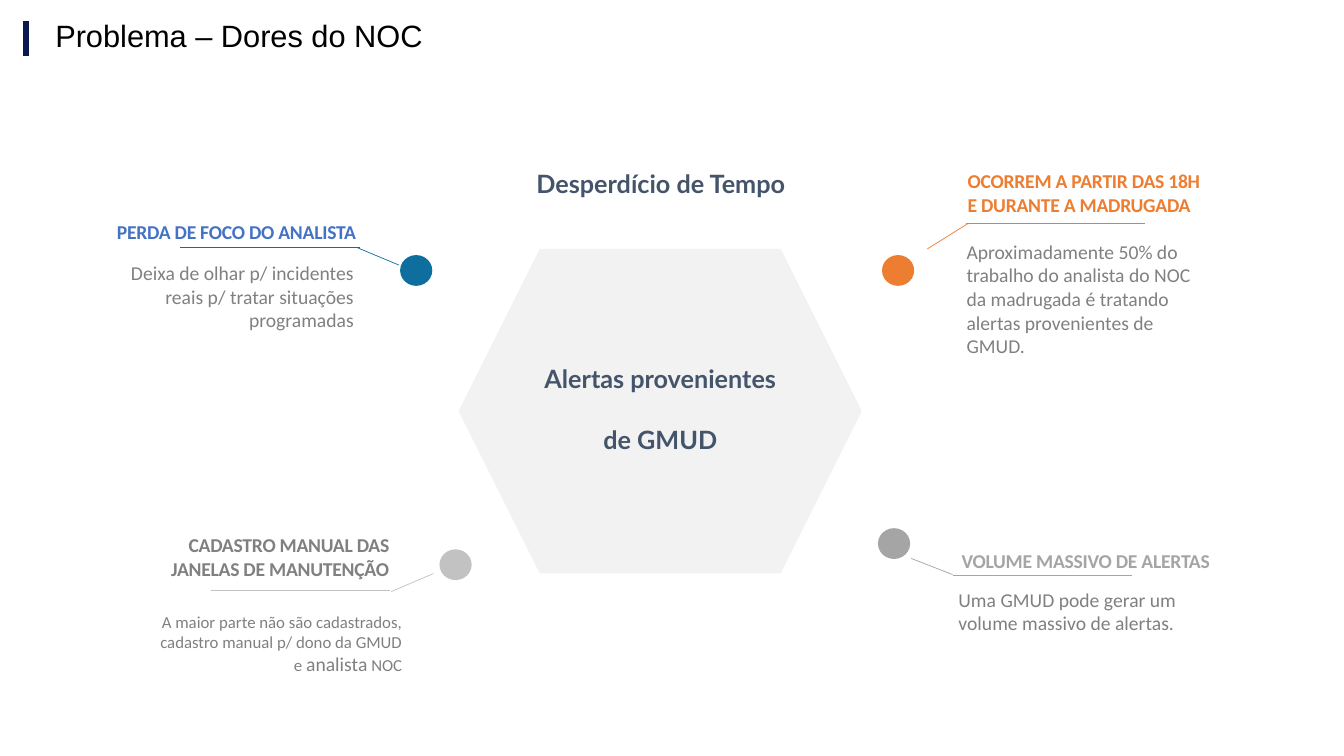
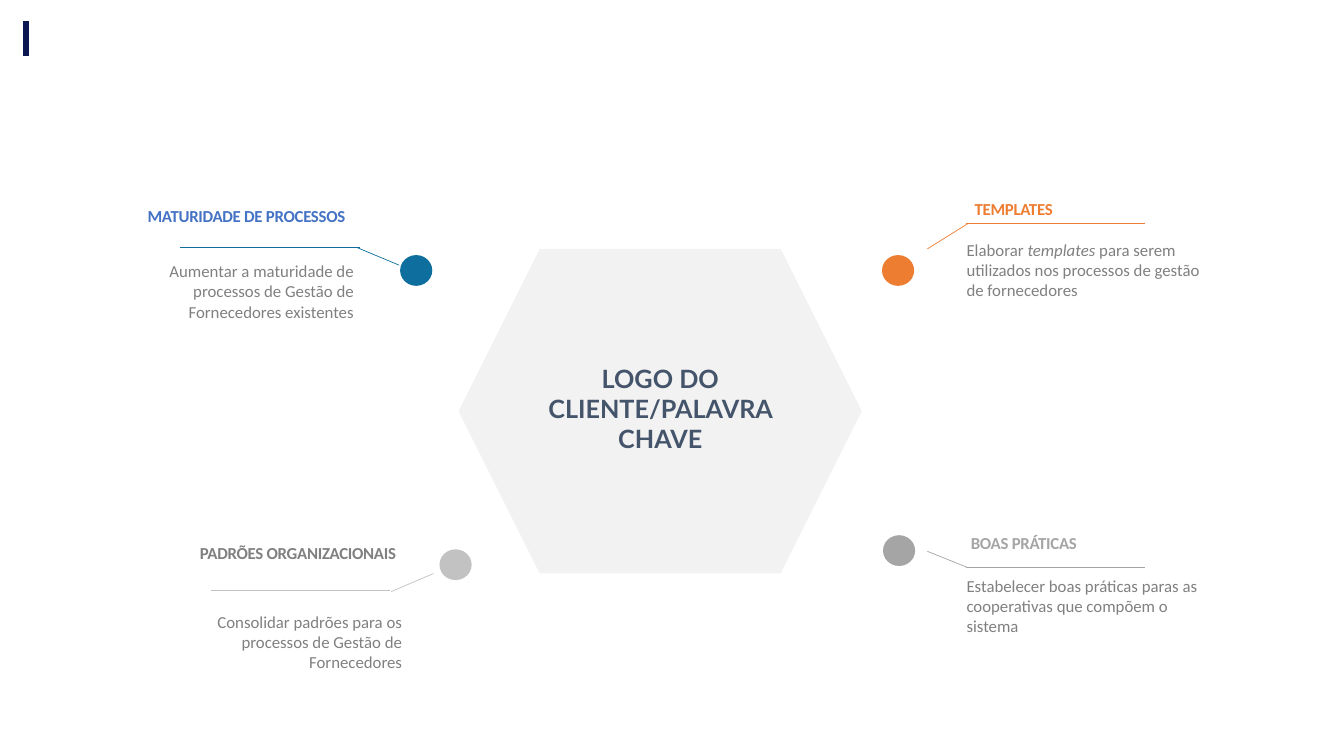
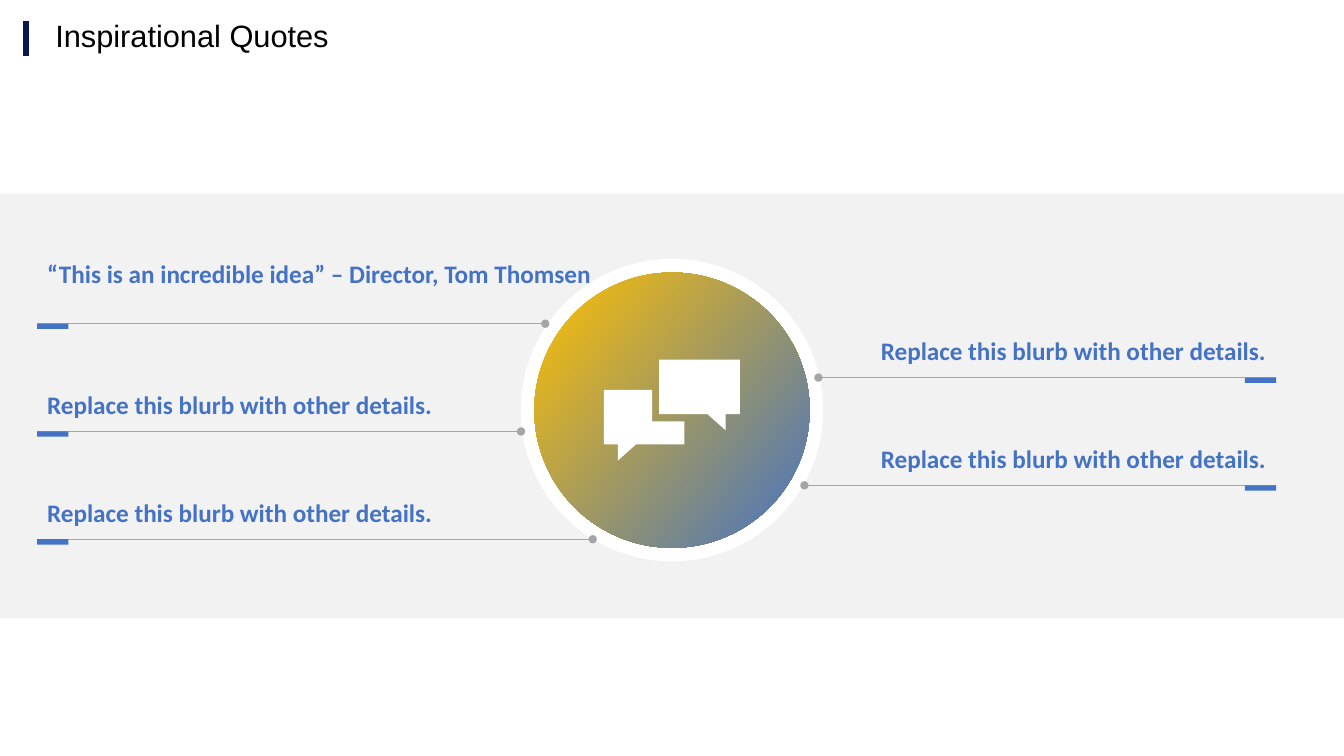
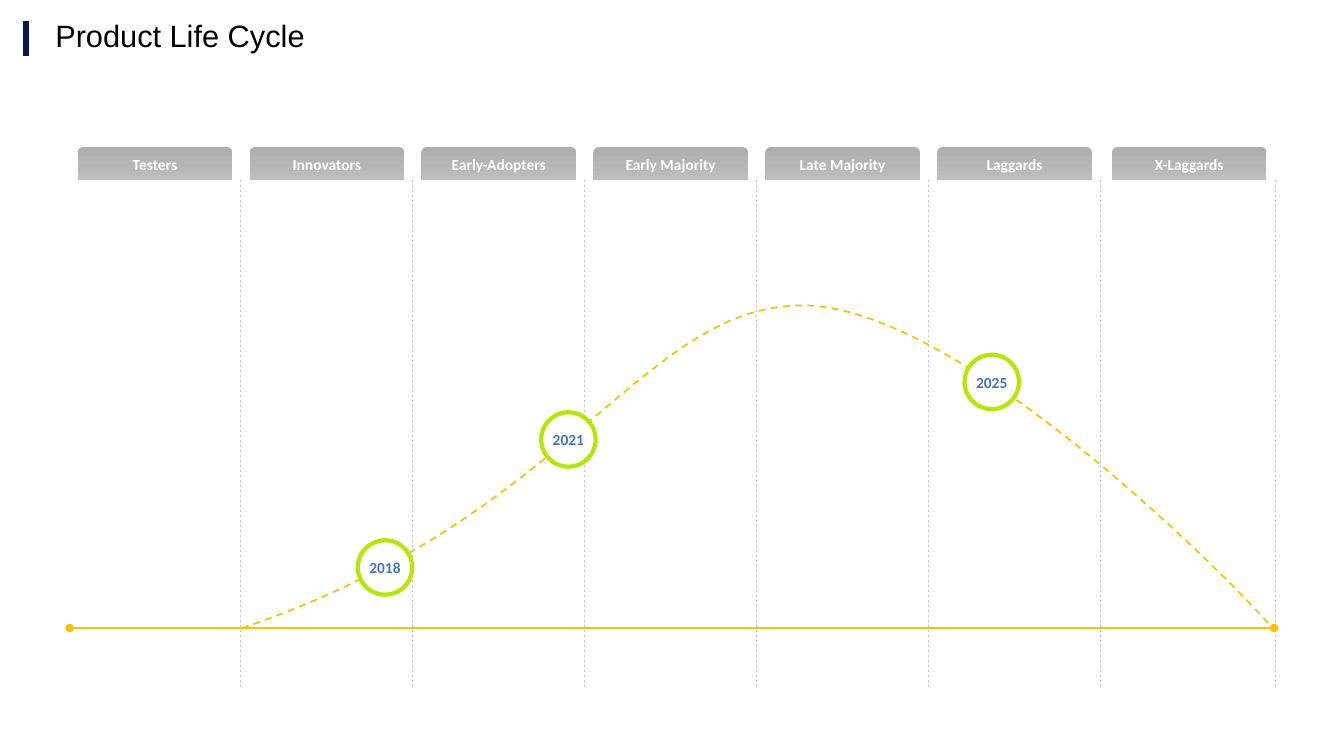
from dataclasses import dataclass, replace
from typing import Optional

from lxml.etree import SubElement
from pptx import Presentation
from pptx.dml.color import RGBColor
from pptx.enum.dml import MSO_LINE
from pptx.enum.shapes import MSO_CONNECTOR, MSO_SHAPE
from pptx.enum.text import MSO_ANCHOR, PP_ALIGN
from pptx.oxml.ns import qn
from pptx.shapes.autoshape import Shape
from pptx.slide import Slide
from pptx.text.text import TextFrame
from pptx.util import Pt

NAVY = RGBColor(0x0A, 0x17, 0x50)
BLACK = RGBColor(0x00, 0x00, 0x00)
WHITE = RGBColor(0xFF, 0xFF, 0xFF)
PALE = RGBColor(0xF2, 0xF2, 0xF2)
TEAL = RGBColor(0x0E, 0x6F, 0x9E)
BLUE = RGBColor(0x44, 0x72, 0xC4)
ORANGE = RGBColor(0xED, 0x7D, 0x31)
SILVER = RGBColor(0xC2, 0xC2, 0xC2)
GRAY = RGBColor(0xA5, 0xA5, 0xA5)
TEXT_GRAY = RGBColor(0x80, 0x80, 0x80)
SLATE = RGBColor(0x44, 0x54, 0x6A)
GOLD = RGBColor(0xFF, 0xC0, 0x00)
LIME = RGBColor(0xB3, 0xE9, 0x00)
DIVIDER_GRAY = RGBColor(0xBF, 0xBF, 0xBF)
TAB_TOP = RGBColor(0xAE, 0xAE, 0xAE)
TAB_BOTTOM = RGBColor(0xBC, 0xBC, 0xBC)

Point = tuple[float, float]
Box = tuple[float, float, float, float]


@dataclass(frozen=True)
class Style:
    size: float
    color: RGBColor
    bold: bool = False
    font: str = "Calibri"
    align: PP_ALIGN = PP_ALIGN.LEFT
    tracking: float = 0
    line_spacing: Optional[float] = None
    space_before: float = 0


@dataclass(frozen=True)
class Span:
    text: str
    size: Optional[float] = None
    italic: Optional[bool] = None


@dataclass(frozen=True)
class Anchor:
    """Dot, rule and leader of a callout beside the hexagon."""
    dot: Point
    rule_start: Point
    leader: tuple[Point, Point]
    body_at: Point
    color: RGBColor
    heading_color: RGBColor
    align: PP_ALIGN


@dataclass(frozen=True)
class Callout:
    anchor: Anchor
    heading: str
    heading_box: Box
    body: tuple[Span, ...]
    heading_size: float = 12
    body_size: float = 12


@dataclass(frozen=True)
class Quote:
    text: str
    rule_end: float
    lift: float = 33.8
    width: float = 326.2


@dataclass(frozen=True)
class Milestone:
    year: str
    left: float
    top: float


TITLE = Style(22, BLACK, font="Arial", line_spacing=0.9)
HUB = Style(18, SLATE, bold=True, font="Lato", align=PP_ALIGN.CENTER)

TOP_LEFT = Anchor((285.8, 182.2), (128.9, 176.4), ((255.6, 177.1), (285.1, 189.4)),
                  (71.3, 182.9), TEAL, BLUE, PP_ALIGN.RIGHT)
BOTTOM_LEFT = Anchor((313.9, 392.4), (150.5, 421.9), ((279.4, 422.6), (309.6, 409.7)),
                     (105.8, 433.4), SILVER, TEXT_GRAY, PP_ALIGN.RIGHT)
TOP_RIGHT = Anchor((630, 182.2), (689.8, 159.8), ((662.4, 177.8), (691.2, 159.8)),
                   (683.3, 167.8), ORANGE, ORANGE, PP_ALIGN.LEFT)
BOTTOM_RIGHT = Anchor((630.7, 382.3), (689.8, 405.4), ((662.4, 393.8), (691.2, 405.4)),
                      (683.3, 407.5), GRAY, GRAY, PP_ALIGN.LEFT)
BOTTOM_RIGHT_INNER = replace(BOTTOM_RIGHT, dot=(627.1, 377.3), rule_start=(680.4, 411.1),
                             leader=((650.9, 398.9), (680.4, 410.4)), body_at=(677.5, 416.2))

NOC_CALLOUTS = [
    Callout(TOP_LEFT, "PERDA DE FOCO DO ANALISTA", (81.4, 157, 172.8, 26.6),
            (Span("Deixa de olhar p/ incidentes reais p/ tratar situações programadas"),), 14, 14),
    Callout(BOTTOM_LEFT, "CADASTRO MANUAL DAS JANELAS DE MANUTENÇÃO", (112.3, 380.9, 165.6, 36),
            (Span("A maior parte não são cadastrados, cadastro manual p/ dono da GMUD e "),
             Span("analista", size=14), Span(" NOC")), 14),
    Callout(TOP_RIGHT, "OCORREM A PARTIR DAS 18H E DURANTE A MADRUGADA", (691.2, 121, 172, 36),
            (Span("Aproximadamente 50% do trabalho do analista do NOC da madrugada é tratando "
                  "alertas provenientes de GMUD."),), 14, 14),
    Callout(BOTTOM_RIGHT_INNER, "VOLUME MASSIVO DE ALERTAS", (686.9, 392.4, 188.6, 21.6),
            (Span("Uma GMUD pode gerar um volume massivo de alertas."),), 14, 14),
]
SUPPLIER_CALLOUTS = [
    Callout(TOP_LEFT, "MATURIDADE DE PROCESSOS", (88, 146.9, 158.8, 26.6),
            (Span("Aumentar a maturidade de processos de Gestão de Fornecedores existentes"),)),
    Callout(BOTTOM_LEFT, "PADRÕES ORGANIZACIONAIS", (128.9, 387.4, 154.1, 31.7),
            (Span("Consolidar padrões para os processos de Gestão de Fornecedores"),)),
    Callout(TOP_RIGHT, "TEMPLATES", (696.2, 141.8, 103, 15.8),
            (Span("Elaborar "), Span("templates ", italic=True),
             Span("para serem utilizados nos processos de gestão de fornecedores"))),
    Callout(BOTTOM_RIGHT, "BOAS PRÁTICAS", (693.4, 380.2, 128.2, 23),
            (Span("Estabelecer boas práticas paras as cooperativas que compõem o sistema"),)),
]

BLURB = "Replace this blurb with other details."
QUOTES = [  # alternate left and right, going down
    Quote("“This is an incredible idea” – Director, Tom Thomsen", 389.5, 50.4, 453.6),
    Quote(BLURB, 584.6), Quote(BLURB, 372.2), Quote(BLURB, 574.6), Quote(BLURB, 423.4),
]
BACK_BUBBLE = [(465.8, 301), (465.8, 278.6), (431.3, 278.6), (431.3, 317.5), (441.4, 317.5),
               (441.4, 329), (454.3, 317.5), (488.9, 317.5), (488.9, 301)]
FRONT_BUBBLE = [(518.4, 307.4), (518.4, 295.9), (528.5, 295.9), (528.5, 257),
                (470.9, 257), (470.9, 295.9), (505.4, 295.9)]

STAGES = ["Testers", "Innovators", "Early-Adopters", "Early Majority", "Late Majority",
          "Laggards", "X-Laggards"]
MILESTONES = [Milestone("2025", 689, 253.4), Milestone("2021", 386.6, 294.5),
              Milestone("2018", 255.6, 385.9)]
ADOPTION_CURVE = [(172.8, 448.6), (408.2, 369.4), (458.6, 216.7), (575.3, 218.2),
                  (692.6, 220.3), (898.6, 434.2), (908.6, 448.6)]


# Drawing helpers

def write(frame: TextFrame, paragraphs: list[tuple[Span, ...]], style: Style) -> None:
    for index, spans in enumerate(paragraphs):
        paragraph = frame.add_paragraph() if index else frame.paragraphs[0]
        paragraph.alignment = style.align
        if style.line_spacing:
            paragraph.line_spacing = style.line_spacing
        if index and style.space_before:
            paragraph.space_before = Pt(style.space_before)
        font = paragraph.font
        font.name, font.size, font.bold = style.font, Pt(style.size), style.bold
        font.color.rgb = style.color
        if style.tracking:
            defaults = paragraph._p.pPr.find(qn("a:defRPr"))
            defaults.set("spc", str(round(style.tracking * 100)))
        for span in spans:
            run = paragraph.add_run()
            run.text = span.text
            if span.size:
                run.font.size = Pt(span.size)
            if span.italic:
                run.font.italic = True


def clear_insets(frame: TextFrame) -> None:
    frame.margin_left = frame.margin_top = frame.margin_right = frame.margin_bottom = Pt(0)


def add_text(slide: Slide, box: Box, paragraphs: list[tuple[Span, ...]], style: Style,
             inset: bool = True, anchor: MSO_ANCHOR = MSO_ANCHOR.TOP) -> None:
    frame = slide.shapes.add_textbox(*map(Pt, box)).text_frame
    frame.word_wrap = True
    frame.vertical_anchor = anchor
    if not inset:
        clear_insets(frame)
    write(frame, paragraphs, style)


def add_block(slide: Slide, preset: MSO_SHAPE, box: Box, color: Optional[RGBColor]) -> Shape:
    block = slide.shapes.add_shape(preset, *map(Pt, box))
    block.shadow.inherit = False
    block.line.fill.background()
    if color is not None:
        block.fill.solid()
        block.fill.fore_color.rgb = color
    return block


def fill_gradient(block: Shape, colors: tuple[RGBColor, RGBColor], clockwise: float) -> None:
    block.fill.gradient()
    block.fill.gradient_angle = 360 - clockwise
    for stop, color in zip(block.fill.gradient_stops, colors):
        stop.color.rgb = color


def add_line(slide: Slide, start: Point, end: Point, color: RGBColor, width: float = 0.5,
             dashed: bool = False, ovals: tuple[str, ...] = ()) -> None:
    connector = slide.shapes.add_connector(MSO_CONNECTOR.STRAIGHT, *map(Pt, start + end))
    connector.line.color.rgb = color
    connector.line.width = Pt(width)
    if dashed:
        connector.line.dash_style = MSO_LINE.DASH
    properties = connector.element.spPr
    for line_end in ovals:
        SubElement(properties.find(qn("a:ln")), qn(f"a:{line_end}")).set("type", "oval")
    SubElement(properties, qn("a:effectLst"))


def add_outline(slide: Slide, points: list[Point], close: bool = True) -> Shape:
    (left, top), *others = [(Pt(x), Pt(y)) for x, y in points]
    builder = slide.shapes.build_freeform(left, top)
    builder.add_line_segments(others, close=close)
    outline = builder.convert_to_shape()
    outline.shadow.inherit = False
    return outline


def bend(outline: Shape) -> None:
    """Turn each three line segments into one cubic curve."""
    segments = list(outline.element.iter(qn("a:lnTo")))
    for first in range(0, len(segments), 3):
        group = segments[first:first + 3]
        track = group[0].getparent()
        curve = SubElement(track, qn("a:cubicBezTo"))
        for segment in group:
            curve.append(segment[0])
            track.remove(segment)


def new_slide(deck, title: str = "") -> Slide:
    slide = deck.slides.add_slide(deck.slide_layouts[6])
    add_line(slide, (18.7, 15.1), (18.7, 40.3), NAVY, 4.5)
    if title:
        add_text(slide, (32.4, 0, 617.8, 53.3), [(Span(title),)], TITLE,
                 anchor=MSO_ANCHOR.MIDDLE)
    return slide


# Hexagon slides

def draw_callout(slide: Slide, callout: Callout) -> None:
    anchor = callout.anchor
    add_block(slide, MSO_SHAPE.OVAL, (*anchor.dot, 23, 22), anchor.color)
    rule_left, rule_top = anchor.rule_start
    add_line(slide, anchor.rule_start, (rule_left + 128.2, rule_top), anchor.color)
    add_line(slide, *anchor.leader, anchor.color)
    add_text(slide, callout.heading_box, [(Span(callout.heading),)],
             Style(callout.heading_size, anchor.heading_color, bold=True,
                   align=anchor.align, tracking=-0.2), inset=False)
    add_text(slide, (*anchor.body_at, 188.6, 52), [callout.body],
             Style(callout.body_size, TEXT_GRAY, align=anchor.align))


def draw_hexagon(slide: Slide, hub_lines: list[str], callouts: list[Callout]) -> None:
    add_block(slide, MSO_SHAPE.HEXAGON, (327.6, 177.8, 288, 231.8), PALE)
    for callout in callouts:
        draw_callout(slide, callout)
    add_text(slide, (371.5, 255.6, 200.2, 72.7), [(Span(line),) for line in hub_lines],
             replace(HUB, space_before=22))


def draw_noc_pains(deck) -> None:
    slide = new_slide(deck, "Problema – Dores do NOC")
    draw_hexagon(slide, ["Alertas provenientes", "de GMUD"], NOC_CALLOUTS)
    add_text(slide, (348.5, 116.6, 247, 28.8), [(Span("Desperdício de Tempo"),)], HUB)


def draw_supplier_keyword(deck) -> None:
    draw_hexagon(new_slide(deck), ["LOGO DO CLIENTE/PALAVRA CHAVE"], SUPPLIER_CALLOUTS)


# Quotes slide

def draw_quote(slide: Slide, quote: Quote, rule_top: float, on_left: bool) -> None:
    tag_width = 22.3
    edge = 26.6 if on_left else 911.5
    text_left = edge if on_left else edge - quote.width
    tag_left = edge if on_left else edge - tag_width
    align = PP_ALIGN.LEFT if on_left else PP_ALIGN.RIGHT
    add_text(slide, (text_left, rule_top - quote.lift, quote.width, 24.5),
             [(Span(quote.text),)], Style(18, BLUE, bold=True, align=align))
    add_line(slide, (edge, rule_top), (quote.rule_end, rule_top), GRAY, ovals=("tailEnd",))
    add_block(slide, MSO_SHAPE.RECTANGLE, (tag_left, rule_top, tag_width, 3.8), BLUE)


def draw_quotes(deck) -> None:
    slide = new_slide(deck, "Inspirational Quotes")
    add_block(slide, MSO_SHAPE.RECTANGLE, (0, 138.4, 960, 303), PALE)

    # Medallion with speech bubbles
    add_block(slide, MSO_SHAPE.OVAL, (372, 185, 216, 216), WHITE)
    medallion = add_block(slide, MSO_SHAPE.OVAL, (381.7, 194.7, 196.6, 196.6), None)
    fill_gradient(medallion, (GOLD, BLUE), 40)
    for bubble_points in (BACK_BUBBLE, FRONT_BUBBLE):
        bubble = add_outline(slide, bubble_points)
        bubble.fill.solid()
        bubble.fill.fore_color.rgb = WHITE
        bubble.line.fill.background()

    for row, quote in enumerate(QUOTES):
        draw_quote(slide, quote, 231.2 + 38.5 * row, on_left=row % 2 == 0)


# Life cycle slide

def draw_life_cycle(deck) -> None:
    slide = new_slide(deck, "Product Life Cycle")
    curve = add_outline(slide, ADOPTION_CURVE, close=False)
    bend(curve)
    curve.fill.background()
    curve.line.color.rgb = GOLD
    curve.line.width = Pt(1.25)
    curve.line.dash_style = MSO_LINE.DASH

    # Stage tabs, each with a divider at its right; the last column is a little wider
    for column, stage in enumerate(STAGES):
        shift = 122.8 * column + (2 if column == len(STAGES) - 1 else 0)
        add_line(slide, (172 + shift, 491), (172 + shift, 128.2), DIVIDER_GRAY, dashed=True)
        tab = add_block(slide, MSO_SHAPE.ROUND_2_SAME_RECTANGLE,
                        (55.5 + shift, 105, 110.5, 23.6), None)
        fill_gradient(tab, (TAB_TOP, TAB_BOTTOM), 90)
        clear_insets(tab.text_frame)
        tab.text_frame.vertical_anchor = MSO_ANCHOR.MIDDLE
        write(tab.text_frame, [(Span(stage),)],
              Style(11, WHITE, bold=True, align=PP_ALIGN.CENTER))

    add_line(slide, (49.7, 448.6), (910.1, 448.6), GOLD, 2, ovals=("headEnd", "tailEnd"))

    for milestone in MILESTONES:
        ring = add_block(slide, MSO_SHAPE.OVAL,
                         (milestone.left, milestone.top, 38.9, 38.9), WHITE)
        ring.line.color.rgb = LIME
        ring.line.width = Pt(3)
        clear_insets(ring.text_frame)
        ring.text_frame.word_wrap = False
        ring.text_frame.vertical_anchor = MSO_ANCHOR.MIDDLE
        write(ring.text_frame, [(Span(milestone.year),)],
              Style(11, BLUE, bold=True, align=PP_ALIGN.CENTER))


def main() -> None:
    deck = Presentation()
    deck.slide_width, deck.slide_height = Pt(960), Pt(540)
    draw_noc_pains(deck)
    draw_supplier_keyword(deck)
    draw_quotes(deck)
    draw_life_cycle(deck)
    deck.save("out.pptx")


if __name__ == "__main__":
    main()
